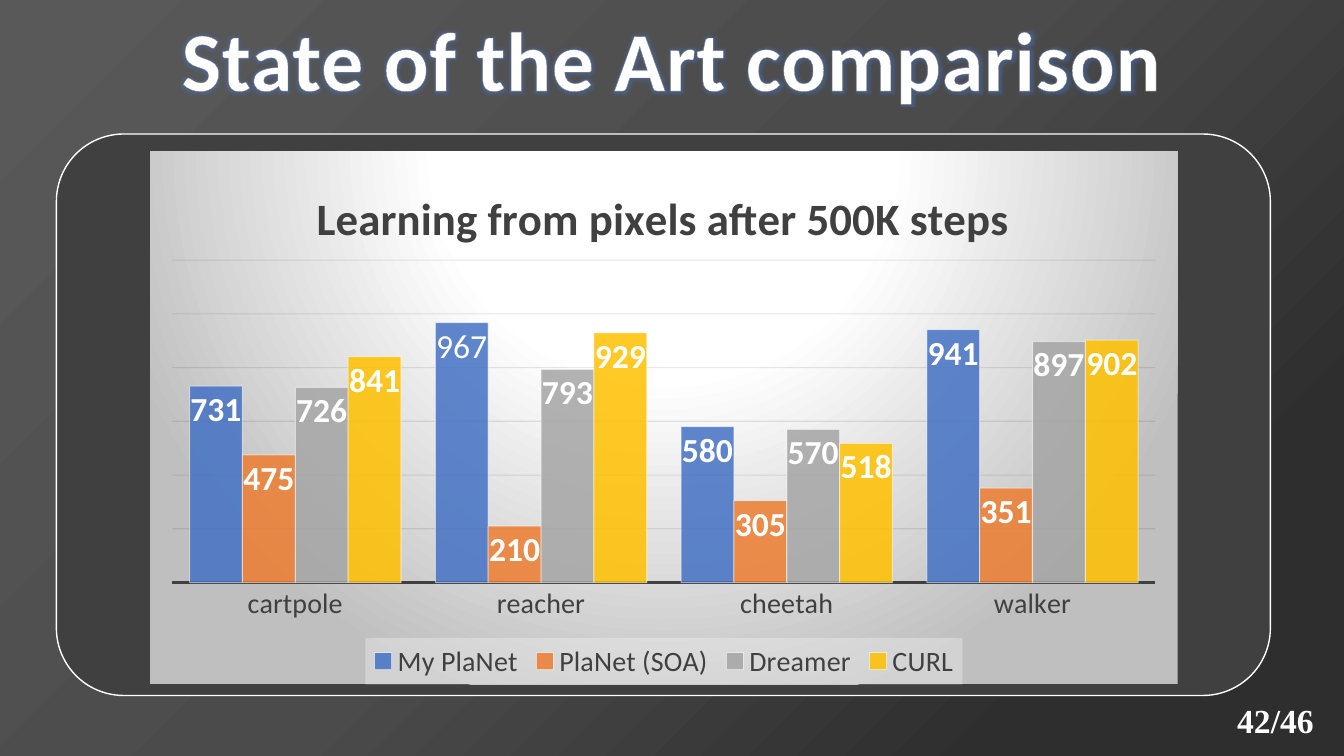
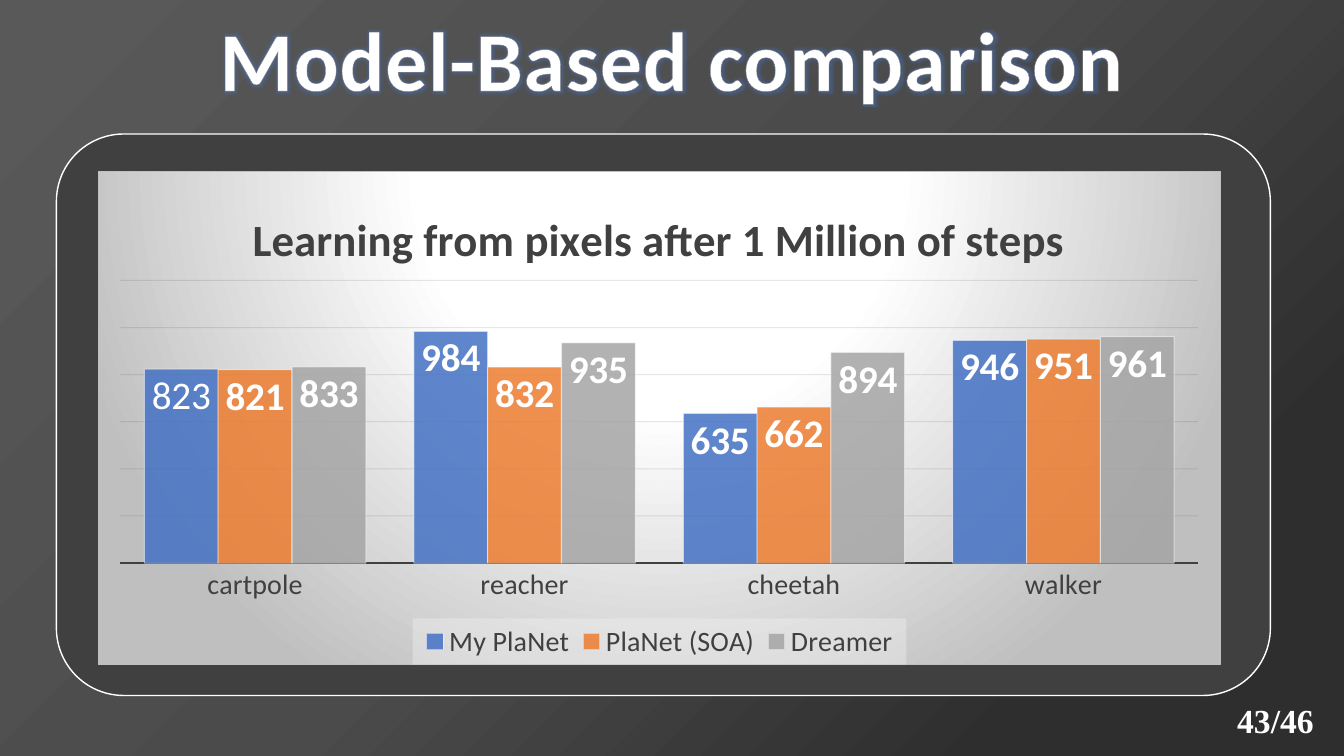
import lxml.etree
import pptx
import pptx.chart.data
import pptx.dml.color
import pptx.enum.chart
import pptx.enum.shapes
import pptx.enum.text
import pptx.oxml
import pptx.oxml.ns
import pptx.util

Inches = pptx.util.Inches
Pt = pptx.util.Pt
qn = pptx.oxml.ns.qn

COLORS = {
    "white": "FFFFFF", "panel": "404040", "text": "404040", "outline": "7C7C7C",
    "glow": "4472C4", "grid": "0D0D0D", "legend": "F2F2F2", "chart_edge": "BFBFBF",
    "back_dark": "2E2E2E", "back_middle": "4B4B4B", "back_light": "595959",
}
SERIES_COLORS = ["4472C4", "ED7D31", "A5A5A5", "FFC000"]
CATEGORIES = ["cartpole", "reacher", "cheetah", "walker"]
SLIDE_SIZE = (13.33, 7.5)
TITLE_BOX = (0, 0.02, 13.33, 1.11)
PANEL_BOX = (0.56, 1.33, 12.04, 5.57)
PAGE_BOX = (12.1, 6.89, 1.1, 0.5)
PAGE_TOTAL = 46

# Distances inside a chart, in inches from its edges
PLOT_TOP, PLOT_BOTTOM, PLOT_SIDE = 1.08, 1.01, 0.22
TITLE_TOP, LEGEND_HEIGHT = 0.28, 0.46

SLIDES = [
    {
        "title": "State of the Art comparison", "page": 42,
        "chart": {
            "box": (1.49, 1.5, 10.19, 5.29),
            "title": "Learning from pixels after 500K steps",
            "title_left": 1.57, "legend_width": 5.92, "label_size": 24,
            "plain_label": 1, "border": False,
            "series": {
                "My PlaNet": (731, 967, 580, 941),
                "PlaNet (SOA)": (475, 210, 305, 351),
                "Dreamer": (726, 793, 570, 897),
                "CURL": (841, 929, 518, 902),
            },
        },
    },
    {
        "title": "Model-Based comparison", "page": 43,
        "chart": {
            "box": (0.97, 1.7, 11.14, 4.9),
            "title": "Learning from pixels after 1 Million of steps",
            "title_left": 1.45, "legend_width": 4.9, "label_size": 28,
            "plain_label": 0, "border": True,
            "series": {
                "My PlaNet": (823, 984, 635, 946),
                "PlaNet (SOA)": (821, 832, 662, 951),
                "Dreamer": (833, 935, 894, 961),
            },
        },
    },
]


def rgb(value):
    return pptx.dml.color.RGBColor.from_string(value)


def inches(box):
    return [Inches(length) for length in box]


def set_attributes(target, **formats):
    for name, value in formats.items():
        setattr(target, name, value)


def set_font(font, size, color, bold=False, name="Calibri"):
    set_attributes(font, size=Pt(size), bold=bold, name=name)
    font.color.rgb = rgb(color)


def set_line(line, color, width):
    line.color.rgb = rgb(color)
    line.width = Pt(width)


def xml(text):
    """Parse a fragment that uses the a: and c: prefixes."""
    tag, rest = text.split(">", 1)
    closing = "/" if tag.endswith("/") else ""
    namespaces = pptx.oxml.ns.nsdecls("a", "c")
    return pptx.oxml.parse_xml(f"{tag.rstrip('/')} {namespaces}{closing}>{rest}")


def solid_xml(color, alpha=100):
    return (f'<a:solidFill><a:srgbClr val="{color}"><a:alpha val="{alpha * 1000}"/>'
            '</a:srgbClr></a:solidFill>')


def gradient_xml(stops, direction):
    stop_list = "".join(
        f'<a:gs pos="{position * 1000}"><a:srgbClr val="{color}"/></a:gs>'
        for position, color in stops)
    return f"<a:gradFill><a:gsLst>{stop_list}</a:gsLst>{direction}</a:gradFill>"


def set_alpha(chart_format, location, percent):
    """Make the colour of a chart part's fill or line translucent."""
    color = chart_format.element.find(
        f"{qn('c:spPr')}/{location}{qn('a:solidFill')}/{qn('a:srgbClr')}")
    lxml.etree.SubElement(color, qn("a:alpha")).set("val", str(percent * 1000))


def set_background(master):
    master.background.fill.solid()
    solid = master.element.find(f".//{qn('p:bgPr')}/{qn('a:solidFill')}")
    stops = [(17, COLORS["back_dark"]), (51, COLORS["back_middle"]),
             (98, COLORS["back_light"])]
    gradient = xml(gradient_xml(stops, '<a:lin ang="13500000" scaled="0"/>'))
    solid.getparent().replace(solid, gradient)


def add_panel(slide, box):
    panel = slide.shapes.add_shape(
        pptx.enum.shapes.MSO_SHAPE.ROUNDED_RECTANGLE, *inches(box))
    panel.adjustments[0] = 0.12
    panel.shadow.inherit = False
    panel.fill.solid()
    panel.fill.fore_color.rgb = rgb(COLORS["panel"])
    set_line(panel.line, COLORS["white"], 1)


def write_centered(shape, text, **font):
    frame = shape.text_frame
    set_attributes(frame, word_wrap=True,
                   auto_size=pptx.enum.text.MSO_AUTO_SIZE.NONE,
                   vertical_anchor=pptx.enum.text.MSO_ANCHOR.TOP)
    paragraph = frame.paragraphs[0]
    paragraph.alignment = pptx.enum.text.PP_ALIGN.CENTER
    run = paragraph.add_run()
    run.text = text
    set_font(run.font, color=COLORS["white"], bold=True, **font)
    return run


def place_title(slide, box, text):
    title = slide.shapes.title
    set_attributes(title, **dict(zip(("left", "top", "width", "height"), inches(box))))
    run = write_centered(title, text, size=60)
    properties = run.font._element
    properties.set("spc", "50")
    properties.insert(0, xml(f'<a:ln w="28575">{solid_xml(COLORS["outline"])}</a:ln>'))
    properties.find(qn("a:solidFill")).addnext(xml(
        '<a:effectLst><a:glow rad="38100">'
        f'<a:srgbClr val="{COLORS["glow"]}"><a:alpha val="40000"/></a:srgbClr>'
        '</a:glow></a:effectLst>'))


def add_page_number(slide, box, page):
    text_box = slide.shapes.add_textbox(*inches(box))
    write_centered(text_box, f"{page}/{PAGE_TOTAL}", size=24, name="Times New Roman")


def set_layout(part, index, chart_box, target="", **lengths):
    """Fix a chart part's place from lengths in inches within the chart."""
    for layout in part.findall(qn("c:layout")):
        part.remove(layout)
    width, height = chart_box[2:]
    values = "".join(
        f'<c:{name} val="{length / (width if name in "xw" else height):.4f}"/>'
        for name, length in lengths.items())
    modes = '<c:xMode val="edge"/><c:yMode val="edge"/>'
    part.insert(index, xml(
        f"<c:layout><c:manualLayout>{target}{modes}{values}"
        "</c:manualLayout></c:layout>"))


def format_axes(chart):
    category_axis = chart.category_axis
    category_axis.major_tick_mark = pptx.enum.chart.XL_TICK_MARK.NONE
    set_font(category_axis.tick_labels.font, 20, COLORS["text"])
    set_line(category_axis.format.line, COLORS["text"], 1.5)
    value_axis = chart.value_axis
    set_attributes(value_axis, visible=False, has_major_gridlines=True,
                   minimum_scale=0, maximum_scale=1200, major_unit=200)
    grid_format = value_axis.major_gridlines.format
    set_line(grid_format.line, COLORS["grid"], 0.75)
    set_alpha(grid_format, f"{qn('a:ln')}/", 10)


def format_series(chart, label_size, plain_label):
    plot = chart.plots[0]
    set_attributes(plot, gap_width=65, overlap=0, vary_by_categories=False)
    inside_end = pptx.enum.chart.XL_LABEL_POSITION.INSIDE_END
    for series, color in zip(plot.series, SERIES_COLORS):
        series.format.fill.solid()
        series.format.fill.fore_color.rgb = rgb(color)
        set_line(series.format.line, COLORS["white"], 0.75)
        set_alpha(series.format, "", 85)
        set_alpha(series.format, f"{qn('a:ln')}/", 50)
        labels = series.data_labels
        set_attributes(labels, show_value=True, position=inside_end)
        set_font(labels.font, label_size, COLORS["white"], bold=True)
    label = plot.series[0].points[plain_label].data_label
    set_font(label.font, label_size, COLORS["white"])
    label.position = inside_end


def format_chart_area(chart, border):
    stops = [(0, COLORS["white"]), (39, COLORS["white"]), (100, COLORS["chart_edge"])]
    fill = gradient_xml(stops, '<a:path path="circle"><a:fillToRect l="50000" '
                        't="-80000" r="50000" b="180000"/></a:path>')
    line = solid_xml(COLORS["chart_edge"]) if border else "<a:noFill/>"
    chart.element.find(qn("c:chart")).addnext(
        xml(f'<c:spPr>{fill}<a:ln w="9525">{line}</a:ln></c:spPr>'))


def add_comparison_chart(slide, box, title, title_left, legend_width, label_size,
                         plain_label, border, series):
    data = pptx.chart.data.CategoryChartData()
    data.categories = CATEGORIES
    for name, values in series.items():
        data.add_series(name, values)
    chart = slide.shapes.add_chart(
        pptx.enum.chart.XL_CHART_TYPE.COLUMN_CLUSTERED, *inches(box), data).chart
    set_font(chart.font, 10, "000000")
    format_axes(chart)
    format_series(chart, label_size, plain_label)
    format_chart_area(chart, border)

    set_attributes(chart, has_title=True, has_legend=True)
    paragraph = chart.chart_title.text_frame.paragraphs[0]
    run = paragraph.add_run()
    run.text = title
    set_font(run.font, 32, COLORS["text"], bold=True)
    set_attributes(chart.legend, include_in_layout=False,
                   position=pptx.enum.chart.XL_LEGEND_POSITION.BOTTOM)
    set_font(chart.legend.font, 20, COLORS["text"])

    width, height = box[2:]
    body = chart.element.find(qn("c:chart"))
    legend = body.find(qn("c:legend"))
    legend.find(qn("c:overlay")).addnext(
        xml(f"<c:spPr>{solid_xml(COLORS['legend'], 39)}</c:spPr>"))
    set_layout(body.find(qn("c:title")), 1, box, x=title_left, y=TITLE_TOP)
    set_layout(legend, 1, box, x=(width - legend_width) / 2,
               y=height - LEGEND_HEIGHT, w=legend_width, h=LEGEND_HEIGHT)
    set_layout(body.find(qn("c:plotArea")), 0, box,
               target='<c:layoutTarget val="inner"/>',
               x=PLOT_SIDE, y=PLOT_TOP, w=width - 2 * PLOT_SIDE,
               h=height - PLOT_TOP - PLOT_BOTTOM)


def add_comparison_slide(presentation, title, page, chart):
    slide = presentation.slides.add_slide(presentation.slide_layouts[5])
    add_panel(slide, PANEL_BOX)
    place_title(slide, TITLE_BOX, title)
    add_comparison_chart(slide, **chart)
    add_page_number(slide, PAGE_BOX, page)


def main():
    presentation = pptx.Presentation()
    presentation.slide_width, presentation.slide_height = inches(SLIDE_SIZE)
    set_background(presentation.slide_master)
    for content in SLIDES:
        add_comparison_slide(presentation, **content)
    presentation.save("out.pptx")


if __name__ == "__main__":
    main()
